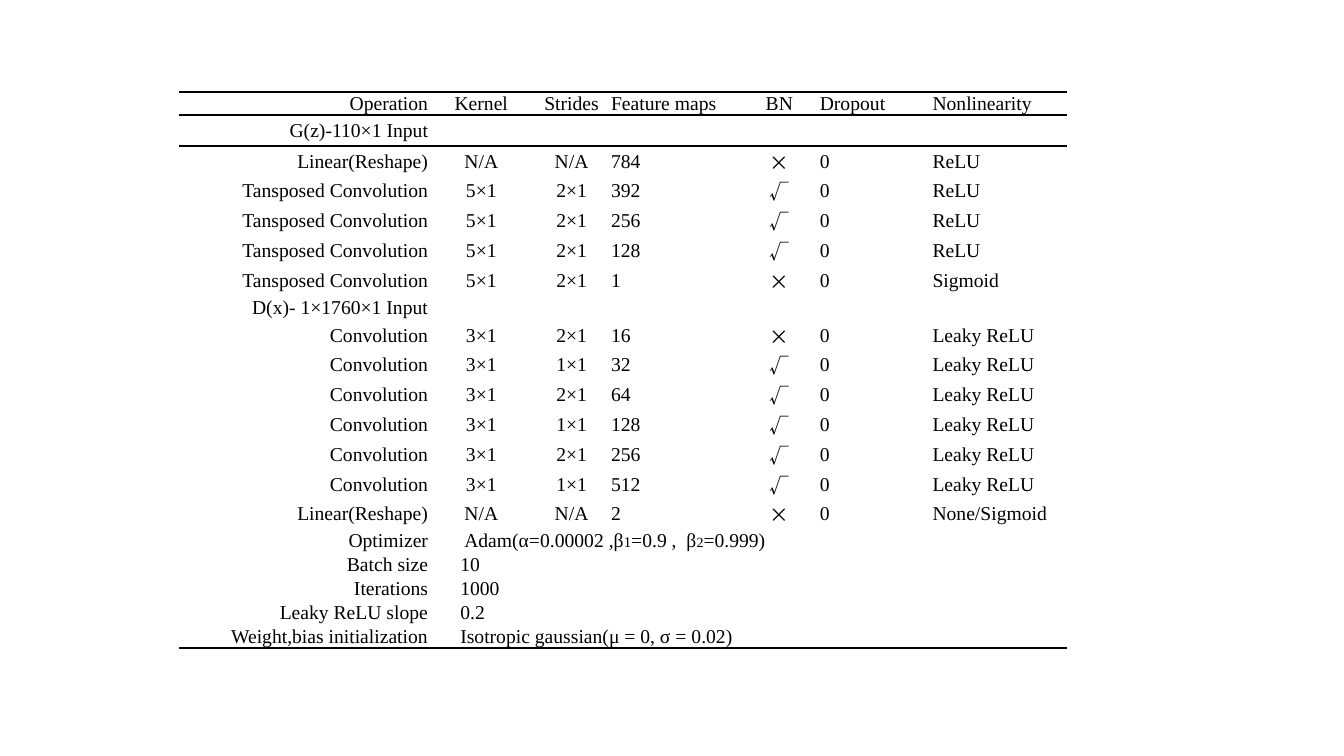
from dataclasses import dataclass

from lxml.etree import SubElement
from pptx import Presentation
from pptx.dml.color import RGBColor
from pptx.enum.text import MSO_ANCHOR, PP_ALIGN
from pptx.oxml.ns import qn
from pptx.util import Cm, Pt


@dataclass(frozen=True)
class Theme:
    ink: str = "000000"
    serif: str = "Times New Roman"
    sans: str = "Noto Sans CJK SC"
    body: float = 14
    sub: tuple = (10.5, 10)
    thick: float = 1.5
    thin: float = 1
    plain: str = "{2D5ABB26-0587-4C30-8999-92F81FD0307C}"


THEME = Theme()
LEFT, MID, RIGHT = PP_ALIGN.LEFT, PP_ALIGN.CENTER, PP_ALIGN.RIGHT
WIDTHS = (6.3, 2.62, 1.93, 3.28, 1.98, 2.84, 3.43)
ALIGNS = (RIGHT, MID, MID, LEFT, MID, LEFT, LEFT)
MARKS = ("×", "√")
HIGH = {"head": 0.56, "gen": 0.78, "layer": 0.74, "disc": 0.59, "param": 0.6}

HEAD = ("Operation", "Kernel", "Strides", "Feature maps", "BN", "Dropout",
        "Nonlinearity")


def layer(name, kernel, stride, maps, mark, act):
    return "layer", (name, kernel, stride, maps, mark, "0", act)


def gen(maps, mark, act):
    return layer("Tansposed Convolution", "5×1", "2×1", maps, mark, act)


def disc(maps, stride, mark="√"):
    return layer("Convolution", "3×1", stride, maps, mark, "Leaky ReLU")


ROWS = [
    ("head", HEAD),
    ("gen", ("G(z)-110×1 Input",)),
    layer("Linear(Reshape)", "N/A", "N/A", "784", "×", "ReLU"),
    gen("392", "√", "ReLU"),
    gen("256", "√", "ReLU"),
    gen("128", "√", "ReLU"),
    gen("1", "×", "Sigmoid"),
    ("disc", ("D(x)- 1×1760×1 Input",)),
    disc("16", "2×1", "×"),
    disc("32", "1×1"),
    disc("64", "2×1"),
    disc("128", "1×1"),
    disc("256", "2×1"),
    disc("512", "1×1"),
    layer("Linear(Reshape)", "N/A", "N/A", "2", "×", "None/Sigmoid"),
]

# Each value is a list of (text, size) runs.
PARAMS = [
    ("Optimizer", [("Adam(α=0.00002 ,β", THEME.body), ("1", THEME.sub[0]),
                   ("=0.9 ,  β", THEME.body), ("2", THEME.sub[1]),
                   ("=0.999)", THEME.body)]),
    ("Batch size", [("10", THEME.body)]),
    ("Iterations", [("1000", THEME.body)]),
    ("Leaky ReLU slope", [("0.2", THEME.body)]),
    ("Weight,bias initialization",
     [("Isotropic gaussian(μ = 0, σ = 0.02)", THEME.body)]),
]


def write(para, text, size=THEME.body, face=THEME.serif, align=LEFT):
    """Append one formatted run to the paragraph."""
    para.alignment = align
    run = para.add_run()
    run.text = text
    font = run.font
    font.size, font.name = Pt(size), face
    font.color.rgb = RGBColor.from_string(THEME.ink)
    SubElement(font._element, qn("a:ea"), typeface=face)


class Deck:
    def __init__(self, theme):
        self.theme = theme
        self.prs = Presentation()
        self.prs.slide_width, self.prs.slide_height = Cm(33.87), Cm(19.05)
        self.slide = self.prs.slides.add_slide(self.prs.slide_layouts[6])

    def table(self, left, top, widths, heights):
        frame = self.slide.shapes.add_table(
            len(heights), len(widths), Cm(left), Cm(top),
            Cm(sum(widths)), Cm(sum(heights)))
        grid = frame.table
        grid.first_row = grid.horz_banding = False
        grid._tbl.tblPr.find(qn("a:tableStyleId")).text = self.theme.plain
        for col, width in zip(grid.columns, widths):
            col.width = Cm(width)
        for row, height in zip(grid.rows, heights):
            row.height = Cm(height)
        return grid

    def rule(self, cell, side, width):
        """Draw a border on the top (T) or bottom (B) of a cell."""
        line = SubElement(cell._tc.get_or_add_tcPr(), qn("a:ln" + side),
                          w=str(Pt(width)))
        fill = SubElement(line, qn("a:solidFill"))
        SubElement(fill, qn("a:srgbClr"), val=self.theme.ink)

    def base(self, cell):
        """Set margins, anchor, empty-line size and a clear fill."""
        cell.margin_left = cell.margin_right = cell.margin_top = Cm(0.03)
        cell.margin_bottom = 0
        cell.vertical_anchor = MSO_ANCHOR.MIDDLE
        cell.fill.background()
        if not cell.text:
            SubElement(cell.text_frame.paragraphs[0]._p, qn("a:endParaRPr"),
                       sz=str(int(self.theme.body * 100)))


def main():
    deck = Deck(THEME)
    kinds = [kind for kind, _ in ROWS] + ["param"] * len(PARAMS)
    grid = deck.table(4.52, 2.32, WIDTHS, [HIGH[kind] for kind in kinds])
    last = len(kinds) - 1

    for r, (_, texts) in enumerate(ROWS):
        for c, text in enumerate(texts):
            face = THEME.sans if text in MARKS else THEME.serif
            write(grid.cell(r, c).text_frame.paragraphs[0], text,
                  face=face, align=ALIGNS[c])

    for r, (name, runs) in enumerate(PARAMS, len(ROWS)):
        write(grid.cell(r, 0).text_frame.paragraphs[0], name, align=RIGHT)
        value = grid.cell(r, 1)
        value.merge(grid.cell(r, len(WIDTHS) - 1))
        para = value.text_frame.paragraphs[0]
        for text, size in runs:
            write(para, text, size=size)
        indent = 0.85 if name == "Optimizer" else 0.75
        para._p.get_or_add_pPr().set("marL", str(Cm(indent)))

    rules = ((0, "T", THEME.thick), (0, "B", THEME.thin),
             (1, "T", THEME.thin), (last, "B", THEME.thick))
    for r, side, width in rules:
        for c in range(len(WIDTHS)):
            deck.rule(grid.cell(r, c), side, width)
    for cell in grid.iter_cells():
        deck.base(cell)
    deck.prs.save("out.pptx")


if __name__ == "__main__":
    main()
